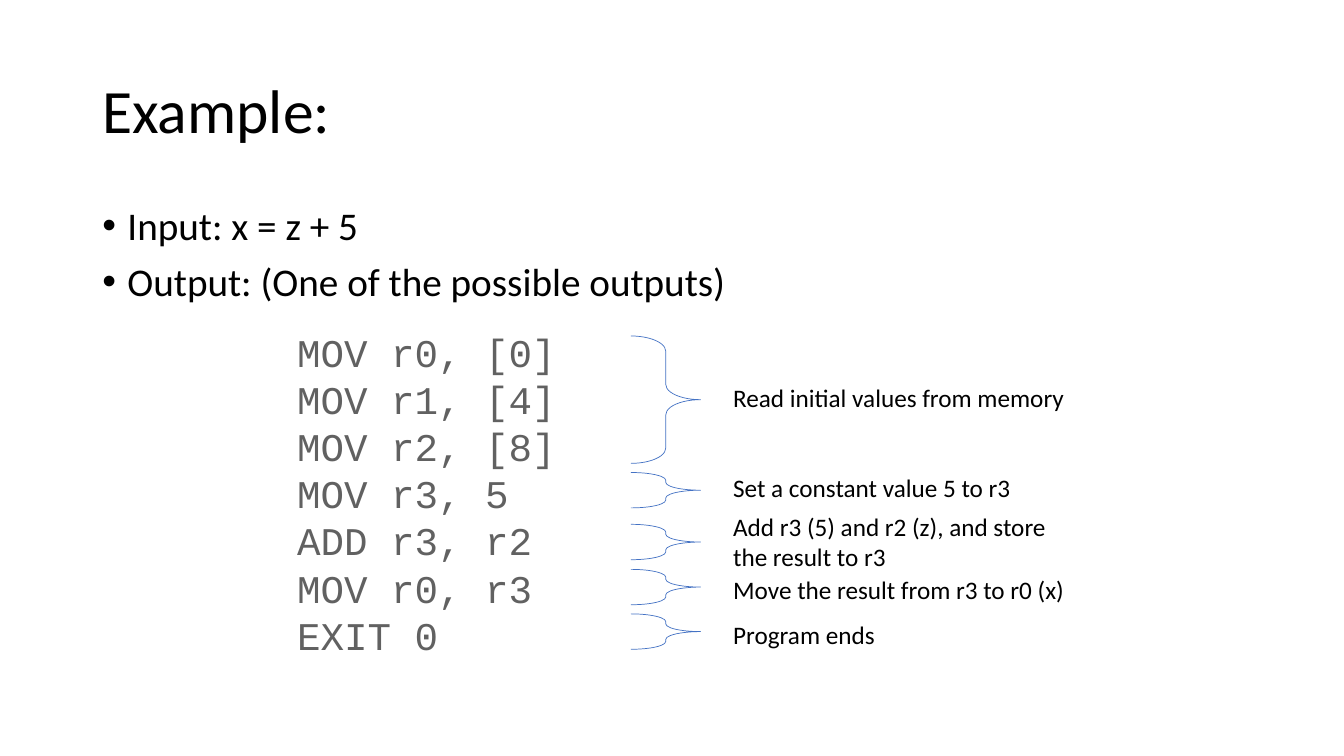
"""Build a slide that explains a short assembly program line by line."""
from lxml import etree
from pptx import Presentation
from pptx.dml.color import RGBColor
from pptx.enum.shapes import MSO_SHAPE
from pptx.enum.text import MSO_ANCHOR
from pptx.oxml.ns import qn
from pptx.util import Pt

BLACK = RGBColor(0x00, 0x00, 0x00)
GRAY = RGBColor(0x61, 0x61, 0x61)
BLUE = RGBColor(0x44, 0x72, 0xC4)
BRACE = MSO_SHAPE.RIGHT_BRACE
TOP, MIDDLE = MSO_ANCHOR.TOP, MSO_ANCHOR.MIDDLE

prs = Presentation()
prs.slide_width, prs.slide_height = Pt(960), Pt(540)
s = prs.slides.add_slide(prs.slide_layouts[6])


def add_text(lines, x, y, w, h, size=18, font="Calibri", color=BLACK, anchor=TOP,
             wrap=True, spacing=1.0, before=0, margin=0, indent=0, bullet=None):
    """Add a text box with one paragraph per line."""
    tf = s.shapes.add_textbox(Pt(x), Pt(y), Pt(w), Pt(h)).text_frame
    tf.word_wrap, tf.vertical_anchor = wrap, anchor
    for i, line in enumerate(lines):
        p = tf.paragraphs[0] if i == 0 else tf.add_paragraph()
        p.text = line
        p.line_spacing, p.space_before = spacing, Pt(before)
        pPr = p._p.get_or_add_pPr()
        pPr.set("marL", str(Pt(margin)))
        pPr.set("indent", str(Pt(indent)))
        if bullet:
            etree.SubElement(pPr, qn("a:buFont")).set("typeface", "Arial")
            etree.SubElement(pPr, qn("a:buChar")).set("char", bullet)
        for r in p.runs:
            r.font.size, r.font.name = Pt(size), font
            r.font.color.rgb = color


add_text(["Example:"], 66, 28.75, 828, 104.4, size=44, anchor=MIDDLE, spacing=0.9)
add_text(["Input: x = z + 5", "Output: (One of the possible outputs)"],
         66, 143.75, 828, 342.6, size=28, spacing=0.9, before=10,
         margin=18, indent=-18, bullet="•")

code = ["MOV r0, [0]", "MOV r1, [4]", "MOV r2, [8]", "MOV r3, 5",
        "ADD r3, r2", "MOV r0, r3", "EXIT 0"]
add_text(code, 169.2, 231.1, 265, 244.8, size=28, font="Courier New",
         color=GRAY, margin=36)

notes = [
    ("Read initial values from memory", 240, 91, 269.3, 253.5, 29),
    ("Set a constant value 5 to r3", 337.5, 25.3, 334.1, 215.3, 29),
    ("Add r3 (5) and r2 (z), and store\nthe result to r3", 374.5, 25.3, 361.5, 244.8, 51),
    ("Move the result from r3 to r0 (x)", 406.7, 25.3, 407, 253.5, 29),
    ("Program ends", 438.5, 25.3, 438.5, 116.6, 29),
]
for note, brace_y, brace_h, note_y, note_w, note_h in notes:
    sp = s.shapes.add_shape(BRACE, Pt(450.7), Pt(brace_y), Pt(49.7), Pt(brace_h))
    sp.adjustments[0], sp.adjustments[1] = 0.22, 0.5
    sp.shadow.inherit = False
    sp.fill.background()
    sp.line.color.rgb, sp.line.width = BLUE, Pt(0.5)
    add_text([note], 516.6, note_y, note_w, note_h, wrap=False)

prs.save("out.pptx")
